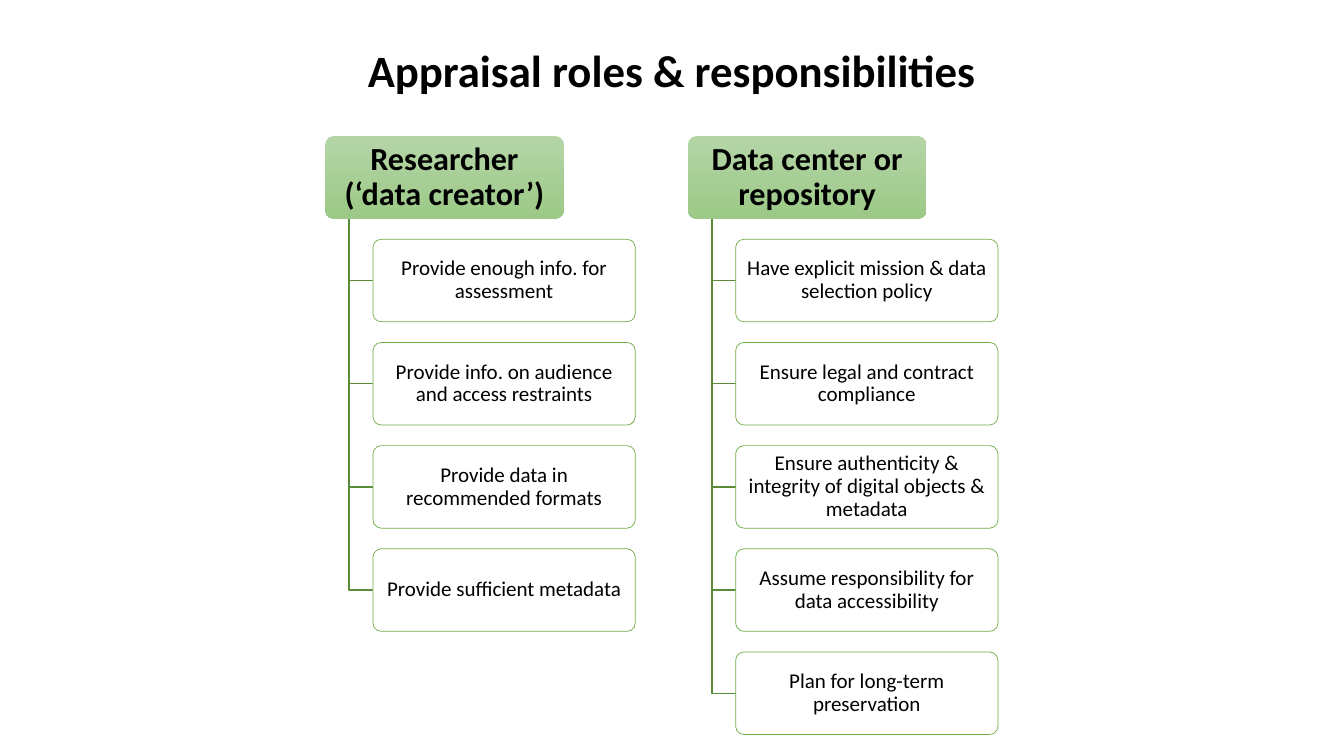
from lxml import etree
from pptx import Presentation
from pptx.dml.color import RGBColor
from pptx.enum.shapes import MSO_SHAPE
from pptx.enum.text import MSO_ANCHOR, PP_ALIGN
from pptx.oxml.ns import qn
from pptx.util import Cm, Pt

ROUNDED = MSO_SHAPE.ROUNDED_RECTANGLE
MIDDLE = MSO_ANCHOR.MIDDLE
CENTER = PP_ALIGN.CENTER

BLACK = RGBColor(0x00, 0x00, 0x00)
WHITE = RGBColor(0xFF, 0xFF, 0xFF)
GREEN_LIGHT = RGBColor(0xB5, 0xD5, 0xA7)
GREEN_MID = RGBColor(0x9C, 0xC9, 0x87)
GREEN_EDGE = RGBColor(0x70, 0xAD, 0x47)
GREEN_BRANCH = RGBColor(0x5A, 0x8B, 0x39)

FONT = "Calibri"
TITLE = "Appraisal roles & responsibilities"
ROLES = [
    ("Researcher (‘data creator’)", [
        "Provide enough info. for assessment",
        "Provide info. on audience and access restraints",
        "Provide data in recommended formats",
        "Provide sufficient metadata",
    ]),
    ("Data center or repository", [
        "Have explicit mission & data selection policy",
        "Ensure legal and contract compliance",
        "Ensure authenticity & integrity of digital objects & metadata",
        "Assume responsibility for data accessibility",
        "Plan for long-term preservation",
    ]),
]

COLUMN_LEFT, COLUMN_TOP = Cm(8.2), Cm(3.43)
COLUMN_STEP = Cm(9.14)
HEADER_WIDTH, TASK_WIDTH = Cm(6.01), Cm(6.61)
BOX_HEIGHT = Cm(2.08)
ROW_STEP = Cm(2.6)
TRUNK_INDENT, TASK_INDENT = Cm(0.6), Cm(1.2)


def write_text(sp, text, size, bold=False, inset_x=Cm(0.25), inset_y=Cm(0.13)):
    tf = sp.text_frame
    tf.word_wrap = True
    tf.vertical_anchor = MIDDLE
    tf.margin_left = tf.margin_right = inset_x
    tf.margin_top = tf.margin_bottom = inset_y
    p = tf.paragraphs[0]
    p.alignment = CENTER
    p.line_spacing = 0.9
    r = p.add_run()
    r.text = text
    r.font.name = FONT
    r.font.size = Pt(size)
    r.font.bold = bold
    r.font.color.rgb = BLACK


def add_title(slide, left, top, width, height):
    write_text(slide.shapes.add_textbox(left, top, width, height), TITLE, 32, bold=True)


def add_box(slide, left, top, width):
    sp = slide.shapes.add_shape(ROUNDED, left, top, width, BOX_HEIGHT)
    sp.adjustments[0] = 0.1
    sp.shadow.inherit = False
    return sp


def add_header(slide, left, top, text):
    sp = add_box(slide, left, top, HEADER_WIDTH)
    sp.fill.gradient()
    sp.fill.gradient_angle = 270
    first, last = sp.fill.gradient_stops
    first.color.rgb, first.position = GREEN_LIGHT, 0
    last.color.rgb, last.position = GREEN_MID, 1
    sp.line.fill.background()
    write_text(sp, text, 23, bold=True, inset_x=Cm(0.13), inset_y=Cm(0.08))


def add_task(slide, left, top, text):
    sp = add_box(slide, left, top, TASK_WIDTH)
    sp.fill.solid()
    sp.fill.fore_color.rgb = WHITE
    color = sp.element.spPr.find(qn("a:solidFill")).find(qn("a:srgbClr"))
    etree.SubElement(color, qn("a:alpha")).set("val", "90000")
    sp.line.color.rgb = GREEN_EDGE
    sp.line.width = Pt(0.5)
    write_text(sp, text, 15, inset_x=Cm(0.08), inset_y=Cm(0.05))


def add_branch(slide, left, top, right, bottom):
    """Draw an elbow that runs down from the header and right to a task."""
    builder = slide.shapes.build_freeform(left, top)
    builder.add_line_segments([(left, bottom), (right, bottom)], close=False)
    sp = builder.convert_to_shape()
    sp.shadow.inherit = False
    sp.fill.background()
    sp.line.color.rgb = GREEN_BRANCH
    sp.line.width = Pt(1)


def add_role(slide, left, top, role, tasks):
    """Place a role header with its tasks hanging below it."""
    add_header(slide, left, top, role)
    task_left = left + TASK_INDENT
    for row, task in enumerate(tasks, start=1):
        task_top = top + row * ROW_STEP
        add_branch(slide, left + TRUNK_INDENT, top + BOX_HEIGHT,
                   task_left, task_top + BOX_HEIGHT // 2)
        add_task(slide, task_left, task_top, task)


def main():
    prs = Presentation()
    prs.slide_width, prs.slide_height = Cm(33.87), Cm(19.05)
    slide = prs.slides.add_slide(prs.slide_layouts[6])
    add_title(slide, Cm(2.33), Cm(0.74), Cm(29.21), Cm(2.21))
    for column, (role, tasks) in enumerate(ROLES):
        add_role(slide, COLUMN_LEFT + column * COLUMN_STEP, COLUMN_TOP, role, tasks)
    prs.save("out.pptx")


if __name__ == "__main__":
    main()
